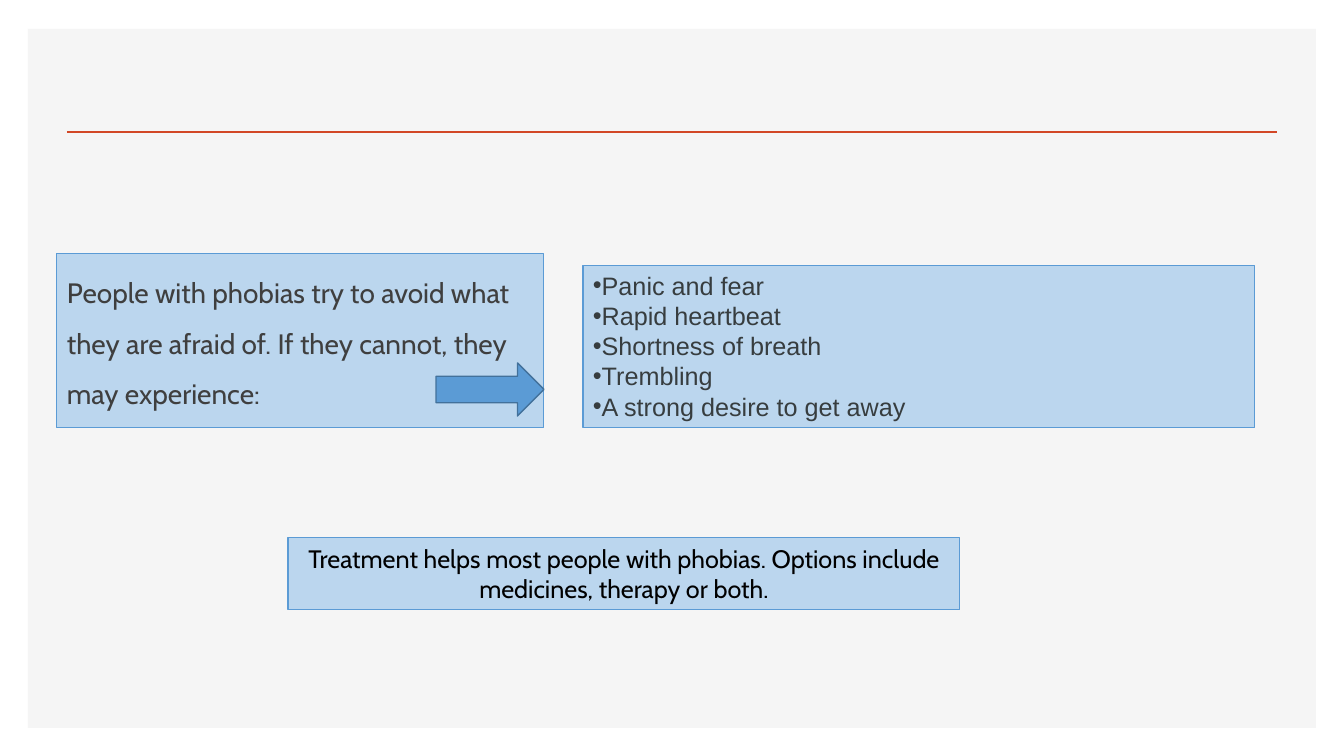
from lxml import etree
from pptx import Presentation
from pptx.dml.color import RGBColor
from pptx.enum.shapes import MSO_CONNECTOR, MSO_SHAPE
from pptx.enum.text import MSO_ANCHOR, PP_ALIGN
from pptx.oxml.ns import qn
from pptx.util import Pt

PX = 914400 / 100.8  # EMU in one px
SLIDE_W, SLIDE_H = 1344, 756

WHITE = RGBColor(0xFF, 0xFF, 0xFF)
PANEL = RGBColor(0xF5, 0xF5, 0xF5)
ACCENT = RGBColor(0xD2, 0x47, 0x26)
PALE_BLUE = RGBColor(0xBB, 0xD6, 0xEE)
BLUE = RGBColor(0x5B, 0x9B, 0xD5)
DARK_BLUE = RGBColor(0x42, 0x71, 0x9B)
GREY = RGBColor(0x3F, 0x3F, 0x3F)
SLATE = RGBColor(0x37, 0x3D, 0x3F)
BLACK = RGBColor(0, 0, 0)

# Content: box in px (left, top, width, height), paragraphs and text style
TEXT_BOXES = [
    dict(box=(57, 254, 487, 174), font="Cabin", size=20, color=GREY, spacing=1.5,
         lines=["People with phobias try to avoid what they are afraid of. "
                "If they cannot, they may experience:"]),
    dict(box=(583, 265, 672, 163), font="Arial", size=18, color=SLATE, bullet="•",
         lines=["Panic and fear", "Rapid heartbeat", "Shortness of breath",
                "Trembling", "A strong desire to get away"]),
    dict(box=(288, 538, 672, 72), font="Cabin", size=18, color=BLACK,
         align=PP_ALIGN.CENTER,
         lines=["Treatment helps most people with phobias. "
                "Options include medicines, therapy or both."]),
]
PANEL_BOX = (28, 29, 1288, 699)
RULE_LEFT, RULE_RIGHT, RULE_Y = 67, 1277, 132
ARROW_BOX = (436, 363, 108, 53)


def emu(*lengths):
    return [round(v * PX) for v in lengths]


def add_block(slide, kind, box, fill, line=None, width=0.75):
    s = slide.shapes.add_shape(kind, *emu(*box))
    s.shadow.inherit = False
    s.fill.solid()
    s.fill.fore_color.rgb = fill
    if line is None:
        s.line.fill.background()
    else:
        s.line.color.rgb = line
        s.line.width = Pt(width)
    return s


def add_bullet(p, char, color):
    pPr = p._p.get_or_add_pPr()
    pPr.set("marL", "0")
    pPr.set("indent", str(emu(-12)[0]))
    clr = etree.SubElement(pPr, qn("a:buClr"))
    etree.SubElement(clr, qn("a:srgbClr")).set("val", str(color))
    etree.SubElement(pPr, qn("a:buFont")).set("typeface", "Arial")
    etree.SubElement(pPr, qn("a:buChar")).set("char", char)


def add_text_box(slide, item):
    s = add_block(slide, MSO_SHAPE.RECTANGLE, item["box"], PALE_BLUE, BLUE)
    tf = s.text_frame
    tf.word_wrap = True
    tf.vertical_anchor = MSO_ANCHOR.TOP
    for i, text in enumerate(item["lines"]):
        p = tf.add_paragraph() if i else tf.paragraphs[0]
        p.alignment = item.get("align", PP_ALIGN.LEFT)
        p.line_spacing = item.get("spacing", 1.0)
        if "bullet" in item:
            add_bullet(p, item["bullet"], item["color"])
        r = p.add_run()
        r.text = text
        r.font.name = item["font"]
        r.font.size = Pt(item["size"])
        r.font.color.rgb = item["color"]


def main():
    prs = Presentation()
    prs.slide_width, prs.slide_height = emu(SLIDE_W, SLIDE_H)
    slide = prs.slides.add_slide(prs.slide_layouts[6])

    # Backdrop and rule
    slide.background.fill.solid()
    slide.background.fill.fore_color.rgb = WHITE
    add_block(slide, MSO_SHAPE.RECTANGLE, PANEL_BOX, PANEL)
    rule = slide.shapes.add_connector(
        MSO_CONNECTOR.STRAIGHT, *emu(RULE_LEFT, RULE_Y, RULE_RIGHT, RULE_Y))
    rule.line.color.rgb = ACCENT
    rule.line.width = Pt(2)
    etree.SubElement(rule._element.spPr, qn("a:effectLst"))

    # Text boxes, then the arrow on top
    for item in TEXT_BOXES:
        add_text_box(slide, item)
    add_block(slide, MSO_SHAPE.RIGHT_ARROW, ARROW_BOX, BLUE, DARK_BLUE, 1)

    prs.save("out.pptx")


if __name__ == "__main__":
    main()
